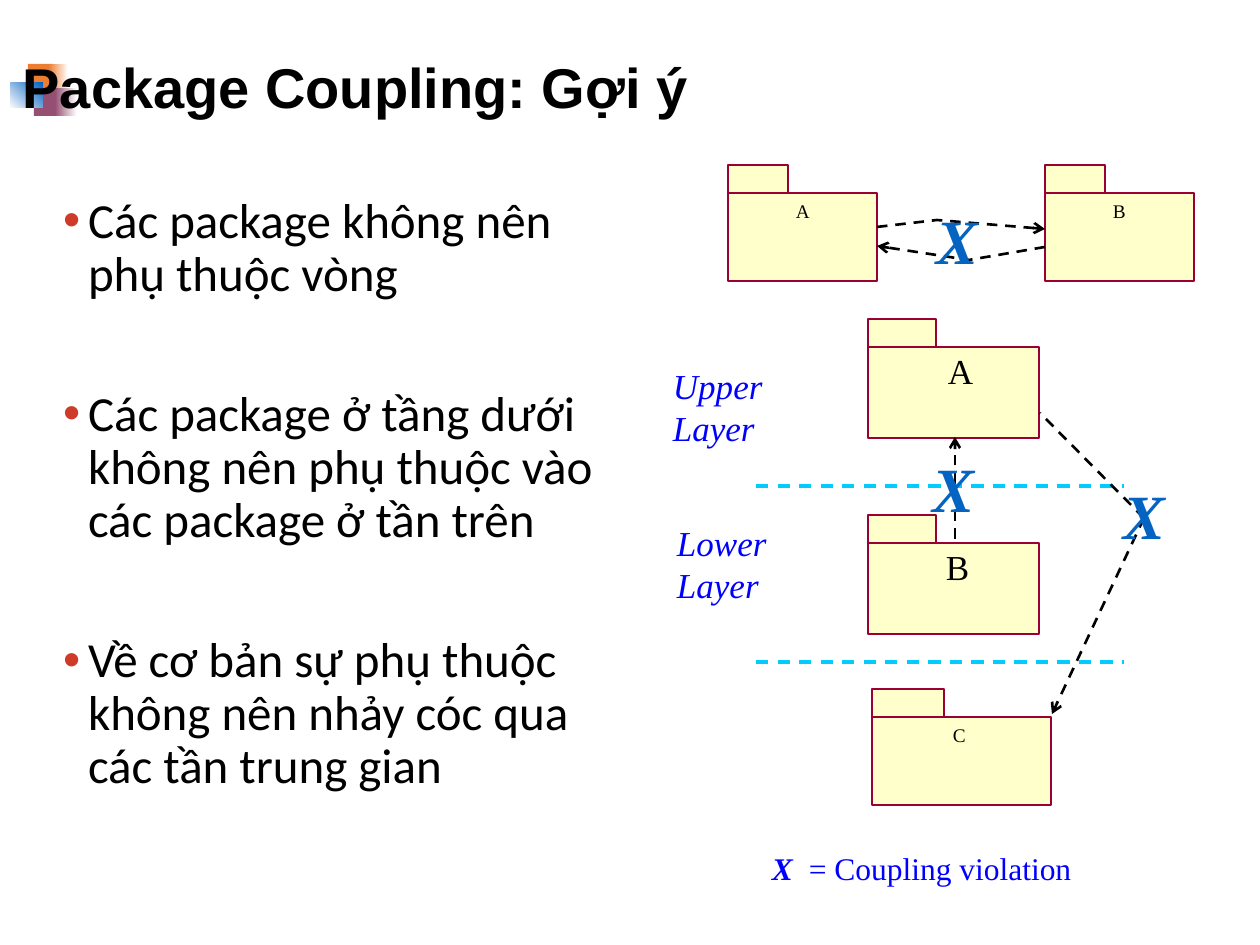
from lxml import etree
from pptx import Presentation
from pptx import util as u
from pptx.dml.color import RGBColor
from pptx.enum import dml, shapes, text
from pptx.oxml.ns import qn

PX = 914400 / 126  # EMU in one px

BLACK = RGBColor(0x00, 0x00, 0x00)
WHITE = RGBColor(0xFF, 0xFF, 0xFF)
ORANGE = RGBColor(0xED, 0x7D, 0x31)
PURPLE = RGBColor(0x95, 0x4F, 0x72)
BLUE = RGBColor(0x05, 0x63, 0xC1)
LABEL_BLUE = RGBColor(0x00, 0x00, 0xFF)
CYAN = RGBColor(0x00, 0xCC, 0xFF)
CREAM = RGBColor(0xFF, 0xFF, 0xCC)
CRIMSON = RGBColor(0x99, 0x00, 0x33)
BULLET_RED = "CE3B29"
SERIF = "Times New Roman"
TAB_HEIGHT = 28


def emu(*lengths):
    return [round(length * PX) for length in lengths]


def set_font(font, size, color, name=SERIF, bold=False, italic=False):
    font.name, font.size, font.color.rgb = name, u.Pt(size), color
    font.bold, font.italic = bold, italic


def add_rectangle(slide, left, top, width, height):
    shape = slide.shapes.add_shape(
        shapes.MSO_SHAPE.RECTANGLE, *emu(left, top, width, height))
    shape.shadow.inherit = False
    return shape


def add_text(slide, left, top, width, height, margins=(15, 8), wrap=True):
    box = slide.shapes.add_textbox(*emu(left, top, width, height))
    frame = box.text_frame
    frame.word_wrap = wrap
    frame.margin_left = frame.margin_right = emu(margins[0])[0]
    frame.margin_top = frame.margin_bottom = emu(margins[1])[0]
    return frame.paragraphs[0]


def style_dashes(shape, color, width, arrow):
    shape.line.color.rgb = color
    shape.line.width = u.Pt(width)
    shape.line.dash_style = dml.MSO_LINE.DASH
    if arrow:
        etree.SubElement(shape.line._get_or_add_ln(), qn("a:tailEnd"), type="arrow")


def add_dashed_line(slide, start, end, color=BLACK, width=1.5, arrow=False):
    line = slide.shapes.add_connector(
        shapes.MSO_CONNECTOR.STRAIGHT, *emu(*start, *end))
    style_dashes(line, color, width, arrow)
    etree.SubElement(line.element.spPr, qn("a:effectLst"))


def add_bent_arrow(slide, left, top, points):
    start, *rest = [(left + x, top + y) for x, y in points]
    builder = slide.shapes.build_freeform(*start, scale=PX)
    builder.add_line_segments(rest, close=False)
    shape = builder.convert_to_shape()
    shape.fill.background()
    style_dashes(shape, BLACK, 1.5, True)
    shape.shadow.inherit = False


def add_package(slide, left, top, width, height, tab_width, name, size, name_at):
    body = (left, top + TAB_HEIGHT, width, height - TAB_HEIGHT)
    for box in (body, (left, top, tab_width, TAB_HEIGHT)):
        shape = add_rectangle(slide, *box)
        shape.fill.solid()
        shape.fill.fore_color.rgb = CREAM
        shape.line.color.rgb = CRIMSON
        shape.line.width = u.Pt(1)
    paragraph = add_text(slide, left + name_at[0], top + name_at[1],
                         size + 4, 22, margins=(0, 0), wrap=False)
    paragraph.text = name
    set_font(paragraph.font, size, BLACK)


def add_violation(slide, left, top):
    paragraph = add_text(slide, left, top, 84, 91)
    paragraph.text = "X"
    set_font(paragraph.font, 36, BLUE, bold=True, italic=True)


def add_ornament(slide, left, top):
    # Overlapping squares behind the title: box, gradient colours, angle
    for x, y, width, height, colors, angle in (
            (18, 0, 25, 28, (ORANGE, ORANGE), 0),
            (39, 0, 19, 28, (ORANGE, WHITE), 0),
            (24, 24, 24, 28, (PURPLE, PURPLE), 0),
            (45, 24, 22, 28, (PURPLE, WHITE), 0),
            (0, 19, 33, 25, (WHITE, BLUE), 45)):
        shape = add_rectangle(slide, left + x, top + y, width, height)
        shape.line.fill.background()
        if colors[0] == colors[1]:
            shape.fill.solid()
            shape.fill.fore_color.rgb = colors[0]
            continue
        shape.fill.gradient()
        shape.fill.gradient_angle = angle
        for stop, color, position in zip(shape.fill.gradient_stops, colors, (0, 1)):
            stop.color.rgb = color
            stop.position = position


def add_title(slide, left, top, width, height):
    title = slide.shapes.title
    title.left, title.top, title.width, title.height = emu(left, top, width, height)
    frame = title.text_frame
    frame.text = "Package Coupling: Gợi ý"
    frame.auto_size = text.MSO_AUTO_SIZE.NONE
    frame.vertical_anchor = text.MSO_ANCHOR.MIDDLE
    paragraph = frame.paragraphs[0]
    paragraph.alignment = text.PP_ALIGN.LEFT
    paragraph.line_spacing = 0.9
    set_font(paragraph.font, 32, BLACK, "Arial", bold=True)
    # Bring the title in front of the ornament
    title.element.getparent().append(title.element)


def add_hints(slide, left, top, width, height):
    hints = ("Các package không nên phụ thuộc vòng",
             "Các package ở tầng dưới không nên phụ thuộc vào các package ở tần trên",
             "Về cơ bản sự phụ thuộc không nên nhảy cóc qua các tần trung gian")
    paragraph = add_text(slide, left, top, width, height, margins=(13, 6))
    frame = paragraph._parent
    for index, hint in enumerate(hints):
        if index:
            paragraph = frame.add_paragraph()
        paragraph.text = hint
        paragraph.line_spacing = 0.9
        paragraph.space_before = u.Pt(50 if index else 0)
        properties = paragraph._p.get_or_add_pPr()
        indent = emu(25)[0]
        properties.set("marL", str(indent))
        properties.set("indent", str(-indent))
        bullet_color = etree.SubElement(properties, qn("a:buClr"))
        etree.SubElement(bullet_color, qn("a:srgbClr"), val=BULLET_RED)
        etree.SubElement(properties, qn("a:buFont"), typeface="Arial")
        etree.SubElement(properties, qn("a:buChar"), char="•")
        set_font(paragraph.font, 28, BLACK, "Calibri")


def add_cycle_diagram(slide, left, top):
    for name, x in (("A", 0), ("B", 317)):
        add_package(slide, left + x, top, 149, 116, 60, name, 11, (68, 34))
    add_bent_arrow(slide, left, top, ((317, 82), (241, 95), (149, 81)))
    add_bent_arrow(slide, left, top, ((149, 62), (209, 55), (317, 64)))
    add_violation(slide, left + 193, top + 29)


def add_layer_diagram(slide, left, top):
    # Layer boundaries
    for y in (167, 343):
        add_dashed_line(slide, (left + 98, top + y), (left + 466, top + y), CYAN, 1.75)
    # Packages
    add_package(slide, left + 210, top, 171, 119, 68, "A", 20, (80, 30))
    add_package(slide, left + 210, top + 196, 171, 119, 68, "B", 20, (78, 30))
    add_package(slide, left + 214, top + 370, 179, 116, 72, "C", 11, (81, 34))
    # Dependencies, upwards and skipping a layer
    corner = (left + 486, top + 199)
    add_dashed_line(slide, (left + 297, top + 220), (left + 297, top + 118), arrow=True)
    add_dashed_line(slide, corner, (left + 394, top + 395), arrow=True)
    add_dashed_line(slide, corner, (left + 382, top + 94))
    add_violation(slide, left + 259, top + 123)
    add_violation(slide, left + 450, top + 150)
    # Layer names
    for name, x, y in (("Upper Layer", 0, 38), ("Lower Layer", 4, 195)):
        paragraph = add_text(slide, left + x, top + y, 126, 98)
        paragraph.text = name
        set_font(paragraph.font, 20, LABEL_BLUE, italic=True)


def add_legend(slide, left, top, width, height):
    paragraph = add_text(slide, left, top, width, height)
    for words, size, strong in (("X", 18, True), (" ", 36, True),
                                ("= Coupling violation", 18, False)):
        run = paragraph.add_run()
        run.text = words
        set_font(run.font, size, LABEL_BLUE, bold=strong, italic=strong)


def main():
    presentation = Presentation()
    presentation.slide_width, presentation.slide_height = emu(1260, 945)
    slide = presentation.slides.add_slide(presentation.slide_layouts[5])
    add_ornament(slide, 10, 64)
    add_title(slide, 10, 54, 1240, 73)
    add_hints(slide, 50, 190, 575, 665)
    add_cycle_diagram(slide, 728, 165)
    add_layer_diagram(slide, 658, 319)
    add_legend(slide, 757, 810, 400, 91)
    presentation.save("out.pptx")


if __name__ == "__main__":
    main()
